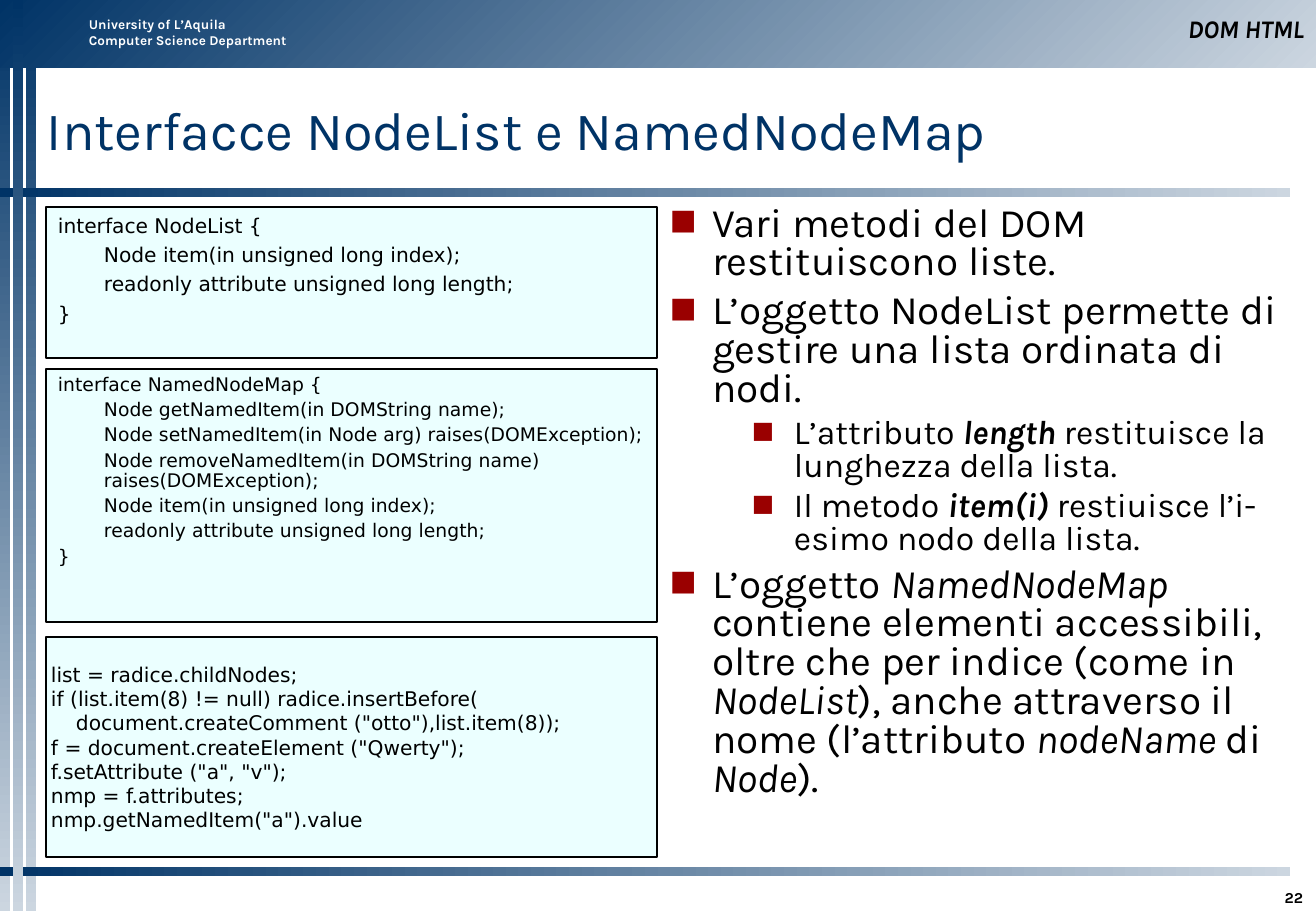
from lxml import etree
from pptx import Presentation, util as u
from pptx.dml.color import RGBColor
from pptx.enum import shapes, text
from pptx.oxml.ns import qn

PX = 7532  # EMU per px
COLOURS = {"navy": "003366", "mist": "CCD6E0", "white": "FFFFFF",
           "black": "000000", "bullet": "9A0000", "code": "EBFFFF"}
RGB = {name: RGBColor.from_string(value) for name, value in COLOURS.items()}
SANS, MONO = "Karla", "DejaVu Sans"


def set_frame(shape, insets, anchor):
    """Wrap the text and set its margins (left/right, top, bottom) and anchor."""
    frame = shape.text_frame
    frame.word_wrap = True
    frame.auto_size = text.MSO_AUTO_SIZE.NONE
    frame.vertical_anchor = anchor
    side, top, bottom = (n * PX for n in insets)
    frame.margin_left = frame.margin_right = side
    frame.margin_top, frame.margin_bottom = top, bottom
    return frame


def set_paragraph(paragraph, size, colour="black", font=SANS, bold=None, italic=None,
                  align=text.PP_ALIGN.LEFT, before=0, spacing=1.0, indent=(0, 0)):
    paragraph.alignment = align
    paragraph.space_before = u.Pt(before)
    paragraph.line_spacing = spacing
    properties = paragraph._p.get_or_add_pPr()
    properties.set("marL", str(indent[0] * PX))
    properties.set("indent", str(indent[1] * PX))
    paragraph.font.size = u.Pt(size)
    paragraph.font.name = font
    paragraph.font.color.rgb = RGB[colour]
    paragraph.font.bold, paragraph.font.italic = bold, italic


deck = Presentation()
deck.slide_width, deck.slide_height = 1316 * PX, 911 * PX
slide = deck.slides.add_slide(deck.slide_layouts[1])
TOP, MIDDLE, BOTTOM = text.MSO_ANCHOR.TOP, text.MSO_ANCHOR.MIDDLE, text.MSO_ANCHOR.BOTTOM

# Gradient bands: box and counter-clockwise gradient angle
bands = [((0, 0, 10, 911), 270), ((26, 0, 10, 911), 270), ((0, 0, 1316, 68), 315),
         ((0, 188, 1290, 9), 0), ((0, 867, 1290, 9), 0), ((13, 0, 10, 911), 270)]
for box, angle in bands:
    band = slide.shapes.add_shape(shapes.MSO_SHAPE.RECTANGLE, *(n * PX for n in box))
    band.shadow.inherit = False
    band.line.fill.background()
    band.fill.gradient()
    band.fill.gradient_angle = angle
    for stop, colour in zip(band.fill.gradient_stops, ("navy", "mist")):
        stop.color.rgb = RGB[colour]

# Header labels and page number
RIGHT = text.PP_ALIGN.RIGHT
labels = [
    ("University of L’Aquila\vComputer Science Department", (77, 10, 260, 45), (12, 6, 6), TOP,
     dict(size=8, colour="white", bold=True, before=5)),
    ("DOM HTML", (680, 10, 636, 40), (12, 6, 6), BOTTOM,
     dict(size=15, bold=True, italic=True, align=RIGHT)),
    ("22", (1172, 877, 143, 30), (12, 6, 0), BOTTOM, dict(size=9, bold=True, align=RIGHT)),
]
for words, box, insets, anchor, style in labels:
    label = set_frame(slide.shapes.add_textbox(*(n * PX for n in box)), insets, anchor)
    label.text = words
    set_paragraph(label.paragraphs[0], **style)

# Title
title = slide.shapes.title
title.left, title.top, title.width, title.height = (n * PX for n in (47, 70, 1247, 117))
heading = set_frame(title, (0, 0, 0), MIDDLE)
heading.text = "Interfacce NodeList e NamedNodeMap"
set_paragraph(heading.paragraphs[0], 32, "navy")

# Code boxes; each line is (indented, words)
code_boxes = [
    ((46, 207, 611, 151), (12, 6, 6), TOP, 46, dict(size=12, before=3), [
        (0, "interface NodeList {"),
        (1, "Node item(in unsigned long index);"),
        (1, "readonly attribute unsigned long length;"),
        (0, "}")]),
    ((46, 369, 611, 253), (12, 6, 6), TOP, 46, dict(size=11.1, before=3, spacing=0.9), [
        (0, "interface NamedNodeMap {"),
        (1, "Node getNamedItem(in DOMString name);"),
        (1, "Node setNamedItem(in Node arg) raises(DOMException);"),
        (1, "Node removeNamedItem(in DOMString name) raises(DOMException);"),
        (1, "Node item(in unsigned long index);"),
        (1, "readonly attribute unsigned long length;"),
        (0, "}")]),
    ((46, 637, 611, 220), (5, 5, 5), MIDDLE, 25, dict(size=12), [
        (0, "list = radice.childNodes;"),
        (0, "if (list.item(8) != null) radice.insertBefore("),
        (1, 'document.createComment ("otto"),list.item(8));'),
        (0, 'f = document.createElement ("Qwerty");'),
        (0, 'f.setAttribute ("a", "v");'),
        (0, "nmp = f.attributes;"),
        (0, 'nmp.getNamedItem("a").value')]),
]
for box, insets, anchor, step, style, lines in code_boxes:
    code = slide.shapes.add_shape(shapes.MSO_SHAPE.RECTANGLE, *(n * PX for n in box))
    code.shadow.inherit = False
    code.fill.solid()
    code.fill.fore_color.rgb = RGB["code"]
    code.line.color.rgb = RGB["black"]
    code.line.width = u.Pt(1)
    listing = set_frame(code, insets, anchor)
    listing.text = "\n".join(words for _, words in lines)
    for paragraph, (indented, _) in zip(listing.paragraphs, lines):
        set_paragraph(paragraph, font=MONO, indent=(indented * step, 0), **style)

# Bullet list: level and runs of (words, emphasis), "b" bold and "i" italic
points = [
    (0, [("Vari metodi del DOM restituiscono liste.", "")]),
    (0, [("L’oggetto NodeList permette di gestire una lista ordinata di nodi.", "")]),
    (1, [("L’attributo ", ""), ("length", "bi"), (" restituisce la lunghezza della lista.", "")]),
    (1, [("Il metodo ", ""), ("item(i)", "bi"), (" restiuisce l’i-esimo nodo della lista.", "")]),
    (0, [("L’oggetto ", ""), ("NamedNodeMap", "i"),
         (" contiene elementi accessibili, oltre che per indice (come in ", ""),
         ("NodeList", "i"), ("), anche attraverso il nome (l’attributo ", ""),
         ("nodeName", "i"), (" di ", ""), ("Node", "i"), (").", "")]),
]
LEVELS = [dict(size=24, before=6, indent=(42, -42)), dict(size=20, before=5, indent=(124, -42))]
body = slide.placeholders[1]
body.left, body.top, body.width, body.height = (n * PX for n in (658, 206, 632, 658))
notes = set_frame(body, (12, 0, 0), TOP)
for number, (level, runs) in enumerate(points):
    point = notes.add_paragraph() if number else notes.paragraphs[0]
    point.level = level
    set_paragraph(point, spacing=0.8, **LEVELS[level])
    for words, emphasis in runs:
        run = point.add_run()
        run.text = words
        if emphasis:
            run.font.bold, run.font.italic = "b" in emphasis, "i" in emphasis
    # Red square bullet, placed ahead of the default run properties
    defaults = point._p.pPr.find(qn("a:defRPr"))
    bullet_colour = etree.Element(qn("a:buClr"))
    etree.SubElement(bullet_colour, qn("a:srgbClr"), val=COLOURS["bullet"])
    for mark in (bullet_colour, etree.Element(qn("a:buSzPct"), val="70000"),
                 etree.Element(qn("a:buFont"), typeface=SANS),
                 etree.Element(qn("a:buChar"), char="■")):
        defaults.addprevious(mark)

deck.save("out.pptx")
